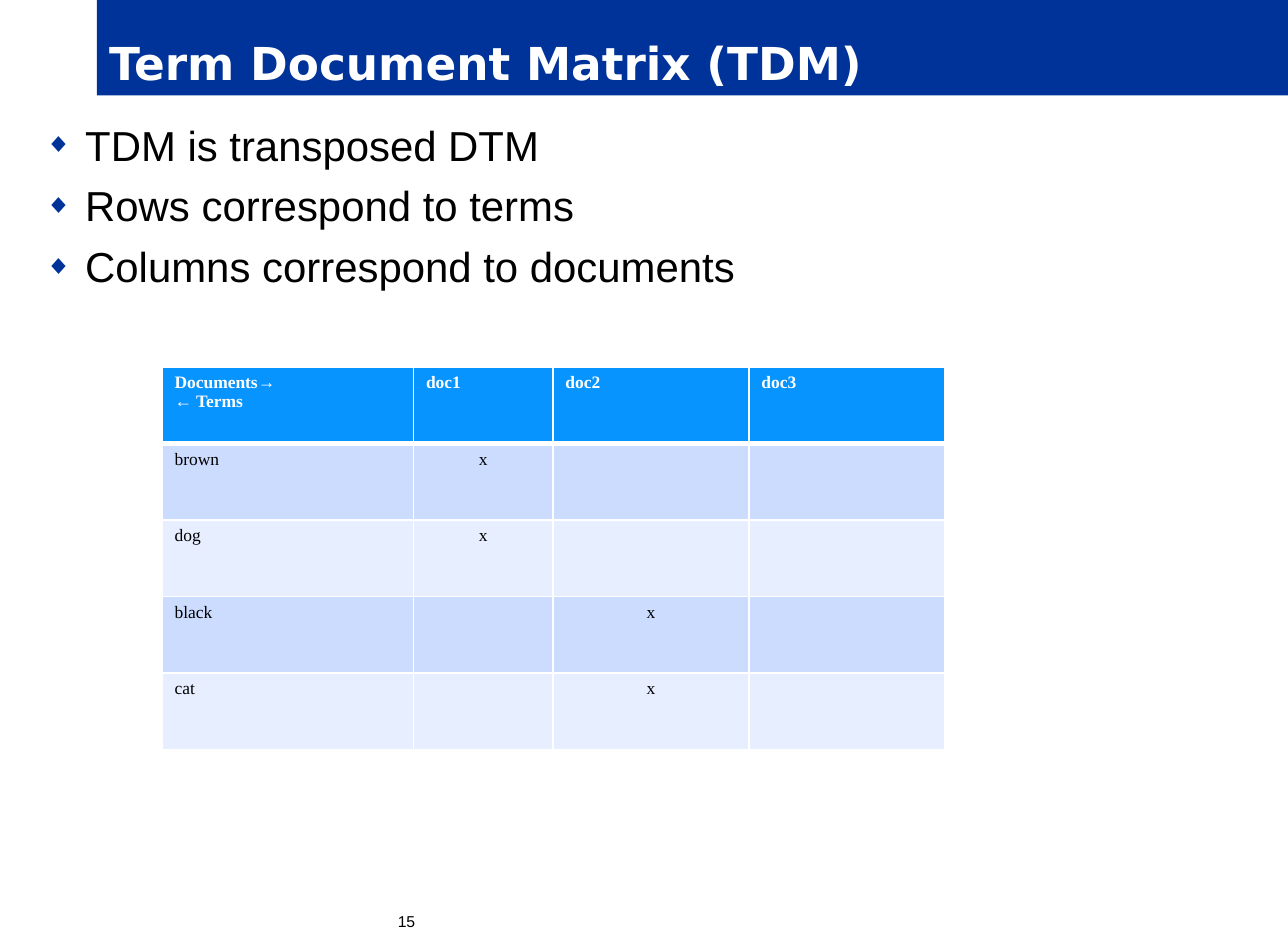
from dataclasses import dataclass

from lxml import etree
from pptx import Presentation
from pptx import util as u
from pptx.dml.color import RGBColor
from pptx.enum import shapes, text
from pptx.oxml import ns

PX = 9144  # EMU per px, 100 px to the inch
COLORS = {"navy": "003399", "white": "FFFFFF", "black": "000000",
          "header": "0794FF", "band": "CCDCFF", "pale": "E7EEFF"}
LEFT, CENTER = text.PP_ALIGN.LEFT, text.PP_ALIGN.CENTER
TERMS = [["Documents→\n← Terms", "doc1", "doc2", "doc3"],
         ["brown", "x", "", ""],
         ["dog", "x", "", ""],
         ["black", "", "x", ""],
         ["cat", "", "x", ""]]
COLUMN_WIDTHS = [200, 111, 156, 156]
ROW_HEIGHT = 61


@dataclass
class Style:
    font: str
    size: int
    color: str
    bold: bool = False
    align: text.PP_ALIGN = LEFT


@dataclass
class Block:
    left: int
    top: int
    width: int
    height: int
    words: str
    style: Style
    fill: str = ""
    anchor: text.MSO_ANCHOR = text.MSO_ANCHOR.TOP
    inset: tuple[int, int] = (10, 5)
    bulleted: bool = False


BLOCKS = [
    Block(77, 0, 948, 76, "Term Document Matrix (TDM)",
          Style("DejaVu Sans", 26, "white", True), fill="navy",
          anchor=text.MSO_ANCHOR.BOTTOM),
    Block(26, 90, 974, 227,
          "TDM is transposed DTM\nRows correspond to terms\nColumns correspond to documents",
          Style("Arial", 24, "black"), bulleted=True),
    Block(26, 726, 595, 15, "15", Style("Arial", 9, "black", align=CENTER), inset=(0, 0)),
]


def rgb(name: str) -> RGBColor:
    return RGBColor.from_string(COLORS[name])


def add_element(parent, tag: str, **attributes: str):
    return etree.SubElement(parent, ns.qn(tag), attributes)


def write(frame, words: str, style: Style) -> None:
    frame.text = words
    for para in frame.paragraphs:
        para.alignment = style.align
        for span in para.runs:
            values = {"name": style.font, "size": u.Pt(style.size), "bold": style.bold}
            for key, value in values.items():
                setattr(span.font, key, value)
            span.font.color.rgb = rgb(style.color)


def add_bullet(para) -> None:
    para.space_before = u.Pt(6)
    properties = para._p.get_or_add_pPr()
    properties.set("marL", str(32 * PX))
    properties.set("indent", str(-32 * PX))
    color = add_element(properties, "a:buClr")
    add_element(color, "a:srgbClr", val=COLORS["navy"])
    add_element(properties, "a:buSzPct", val="65000")
    add_element(properties, "a:buFont", typeface="Arial")
    add_element(properties, "a:buChar", char="◆")


def add_block(page, block: Block) -> None:
    place = [length * PX for length in (block.left, block.top, block.width, block.height)]
    if block.fill:
        box = page.shapes.add_shape(shapes.MSO_SHAPE.RECTANGLE, *place)
        box.shadow.inherit = False
        box.fill.solid()
        box.fill.fore_color.rgb = rgb(block.fill)
        box.line.fill.background()
    else:
        box = page.shapes.add_textbox(*place)
    frame = box.text_frame
    across, down = (length * PX for length in block.inset)
    values = {"word_wrap": True, "vertical_anchor": block.anchor,
              "margin_left": across, "margin_right": across,
              "margin_top": down, "margin_bottom": down}
    for key, value in values.items():
        setattr(frame, key, value)
    write(frame, block.words, block.style)
    if block.bulleted:
        for para in frame.paragraphs:
            add_bullet(para)


def add_borders(cell, widths: dict[str, int]) -> None:
    """Draw white borders; call before the fill, which must follow them in the XML."""
    properties = cell._tc.get_or_add_tcPr()
    for side, points in widths.items():
        line = add_element(properties, f"a:ln{side}", w=str(u.Pt(points)))
        add_element(add_element(line, "a:solidFill"), "a:srgbClr", val=COLORS["white"])


def add_term_table(page, left: int, top: int) -> None:
    height = ROW_HEIGHT * len(TERMS)
    table = page.shapes.add_table(len(TERMS), len(COLUMN_WIDTHS), left * PX, top * PX,
                                  sum(COLUMN_WIDTHS) * PX, height * PX).table
    table.first_row = table.horz_banding = False
    for column, width in zip(table.columns, COLUMN_WIDTHS):
        column.width = width * PX
    for i, row in enumerate(TERMS):
        table.rows[i].height = ROW_HEIGHT * PX
        fill = "header" if i == 0 else ("pale", "band")[i % 2]
        for j, words in enumerate(row):
            cell = table.cell(i, j)
            add_borders(cell, {"L": 1, "R": 1, "T": 3 if i == 1 else 1,
                               "B": 3 if i == 0 else 1})
            cell.fill.solid()
            cell.fill.fore_color.rgb = rgb(fill)
            style = Style("Times New Roman", 10, "black" if i else "white", i == 0,
                          CENTER if i and j else LEFT)
            write(cell.text_frame, words, style)


def main() -> None:
    deck = Presentation()
    deck.slide_width, deck.slide_height = 1025 * PX, 750 * PX
    page = deck.slides.add_slide(deck.slide_layouts[6])
    for block in BLOCKS:
        add_block(page, block)
    add_term_table(page, 129, 292)
    deck.save("out.pptx")


if __name__ == "__main__":
    main()
